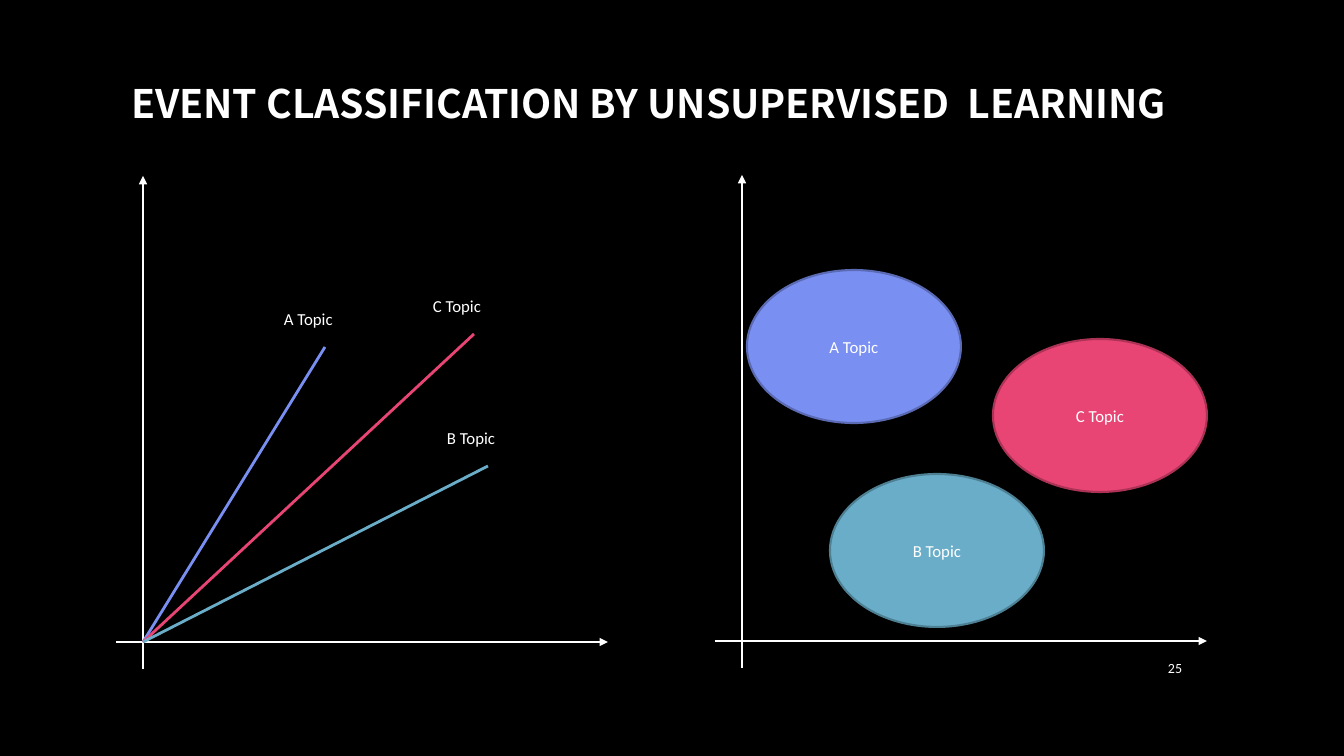
from lxml.etree import SubElement
from pptx import Presentation
from pptx.dml.color import RGBColor
from pptx.enum.shapes import MSO_CONNECTOR, MSO_SHAPE
from pptx.enum.text import MSO_ANCHOR, PP_ALIGN
from pptx.oxml.ns import qn
from pptx.util import Pt

PX = 914400 / 100.8
COLORS = {
    "back": "000000", "white": "FFFFFF",
    "A": "798FF2", "B": "6AADC8", "C": "E84574",
    "A edge": "5A6AB3", "B edge": "4E8094", "C edge": "AC3356",
}
# Topic: end of its line, top left of its ellipse
TOPICS = {
    "A": ((325, 347), (747, 270)),
    "B": ((488, 466), (830, 474)),
    "C": ((474, 334), (993, 339)),
}


def px(*nums):
    return [round(n * PX) for n in nums]


def color(name):
    return RGBColor.from_string(COLORS[name])


def write(shape, text, size=12, align=PP_ALIGN.CENTER, face="Calibri", bold=False):
    frame = shape.text_frame
    frame.text = text
    frame.vertical_anchor = MSO_ANCHOR.MIDDLE
    para = frame.paragraphs[0]
    para.alignment = align
    font = para.runs[0].font
    font.size, font.name, font.bold = Pt(size), face, bold
    font.color.rgb = color("white")


def add_text(shapes, box, text, wrap=True, **style):
    label = shapes.add_textbox(*px(*box))
    write(label, text, **style)
    label.text_frame.word_wrap = wrap


def add_line(shapes, start, end, hue, arrow=False):
    line = shapes.add_connector(MSO_CONNECTOR.STRAIGHT, *px(*start, *end))
    line.line.width = Pt(2)
    line.line.color.rgb = color(hue)
    if arrow:
        SubElement(line.line._get_or_add_ln(), qn("a:tailEnd"), type="triangle")
    SubElement(line._element.spPr, qn("a:effectLst"))


def add_axes(shapes, x, y):
    add_line(shapes, (x - 27, y), (x + 465, y), "white", arrow=True)
    add_line(shapes, (x, y + 27), (x, y - 466), "white", arrow=True)


def add_oval(shapes, spot, topic):
    oval = shapes.add_shape(MSO_SHAPE.OVAL, *px(*spot, 214, 153))
    oval.shadow.inherit = False
    oval.fill.solid()
    oval.fill.fore_color.rgb = color(topic)
    oval.line.color.rgb = color(topic + " edge")
    oval.line.width = Pt(1.5)
    write(oval, f"{topic} Topic")


def add_ray(shapes, start, end, topic):
    add_line(shapes, start, end, topic)
    x, y = end
    add_text(shapes, (x - 51, y - 43, 70, 30), f"{topic} Topic",
             wrap=False, align=PP_ALIGN.LEFT)


def main():
    deck = Presentation()
    deck.slide_width, deck.slide_height = px(1344, 756)
    slide = deck.slides.add_slide(deck.slide_layouts[6])
    slide.background.fill.solid()
    slide.background.fill.fore_color.rgb = color("back")

    # Title and page number
    add_text(slide.shapes, (90, 23, 1117, 160),
             "EVENT CLASSIFICATION BY UNSUPERVISED  LEARNING",
             size=28, face="Noto Sans CJK SC", bold=True)
    add_text(slide.shapes, (1132, 647, 60, 41), "25", size=10, align=PP_ALIGN.RIGHT)

    # Right plot: topics as clusters
    right = slide.shapes.add_group_shape().shapes
    add_axes(right, 742, 641)
    for topic, (_, spot) in TOPICS.items():
        add_oval(right, spot, topic)

    # Left plot: topics as directions
    left = slide.shapes.add_group_shape().shapes
    root = (143, 642)
    add_axes(left, *root)
    for topic in "ACB":
        add_ray(left, root, TOPICS[topic][0], topic)

    deck.save("out.pptx")


if __name__ == "__main__":
    main()
